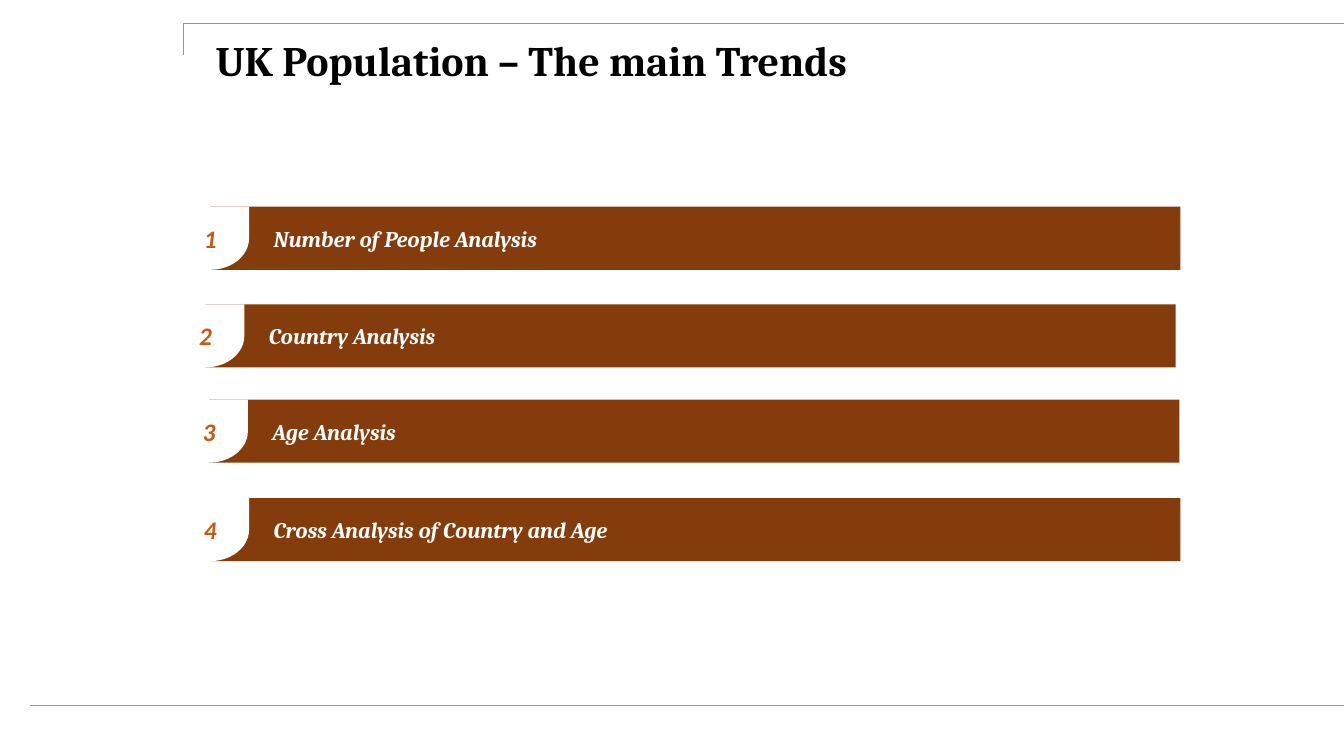
from dataclasses import dataclass

import pptx
import pptx.dml.color
import pptx.enum.shapes
import pptx.enum.text
import pptx.oxml.ns
import pptx.util
from lxml import etree

Cm = pptx.util.Cm
Pt = pptx.util.Pt
RGB = pptx.dml.color.RGBColor
Align = pptx.enum.text.PP_ALIGN
Shape = pptx.enum.shapes.MSO_SHAPE


@dataclass(frozen=True)
class Theme:
    heading_font: str = "Cambria"
    number_font: str = "Calibri"
    ink: RGB = RGB(0, 0, 0)
    paper: RGB = RGB(0xFF, 0xFF, 0xFF)
    bar: RGB = RGB(0x84, 0x3C, 0x0C)
    number: RGB = RGB(0xC5, 0x5A, 0x11)
    rule: RGB = RGB(0xED, 0x7D, 0x31)
    title_size: Pt = Pt(30)
    topic_size: Pt = Pt(16)
    number_size: Pt = Pt(18)
    rule_width: Pt = Pt(0.5)


THEME = Theme()
SLIDE_WIDTH, SLIDE_HEIGHT = Cm(33.88), Cm(19.05)
BAR_WIDTH, BAR_HEIGHT, TAB_WIDTH = Cm(24.46), Cm(1.59), Cm(1.96)

# Topic, left and top of its bar in cm
TOPICS = [
    ("Number of People Analysis", 5.3, 5.21),
    ("Country Analysis", 5.18, 7.67),
    ("Age Analysis", 5.27, 10.07),
    ("Cross Analysis of Country and Age", 5.3, 12.55),
]


def write(shape, text, font, size, color, align, italic=False):
    frame = shape.text_frame
    frame.word_wrap = True
    frame.vertical_anchor = pptx.enum.text.MSO_ANCHOR.MIDDLE
    paragraph = frame.paragraphs[0]
    paragraph.text = text
    paragraph.alignment = align
    paragraph.font.name = font
    paragraph.font.size = size
    paragraph.font.color.rgb = color
    paragraph.font.bold = True
    paragraph.font.italic = italic


def set_margins(shape, left, right):
    frame = shape.text_frame
    frame.margin_left, frame.margin_right = left, right
    frame.margin_top = frame.margin_bottom = 0


def add_block(group, kind, box, color):
    block = group.shapes.add_shape(kind, *box)
    block.shadow.inherit = False
    block.fill.solid()
    block.fill.fore_color.rgb = color
    block.line.fill.background()
    return block


def add_rule(slide, start, end):
    rule = slide.shapes.add_connector(
        pptx.enum.shapes.MSO_CONNECTOR.STRAIGHT, *start, *end)
    rule.line.color.rgb = THEME.rule
    rule.line.width = THEME.rule_width
    properties = rule._element.find(pptx.oxml.ns.qn("p:spPr"))
    etree.SubElement(properties, pptx.oxml.ns.qn("a:effectLst"))


def add_title(slide, text, left, top, width, height):
    title = slide.shapes.title
    title.left, title.top, title.width, title.height = left, top, width, height
    write(title, text, THEME.heading_font, THEME.title_size, THEME.ink, Align.LEFT)
    title.text_frame.auto_size = pptx.enum.text.MSO_AUTO_SIZE.NONE
    title.text_frame.paragraphs[0].line_spacing = 0.9


def add_topic(slide, number, topic, left, top, width, height):
    group = slide.shapes.add_group_shape()

    # Bar with the topic
    bar = add_block(group, Shape.RECTANGLE, (left, top, width, height), THEME.bar)
    set_margins(bar, Cm(1.6), Cm(0.4))
    write(bar, topic, THEME.heading_font, THEME.topic_size, THEME.paper,
          Align.LEFT, italic=True)

    # Number tab, centred on the bar's left edge
    tab_box = (left - TAB_WIDTH // 2, top, TAB_WIDTH, height)
    tab = add_block(group, Shape.TEAR, tab_box, THEME.paper)
    set_margins(tab, 0, 0)
    write(tab, str(number), THEME.number_font, THEME.number_size, THEME.number,
          Align.CENTER, italic=True)


def add_frame(slide, left, top, right, bottom):
    corner = (left, top)
    add_rule(slide, corner, (right, top))
    add_rule(slide, (Cm(0.76), bottom), (right, bottom))
    add_rule(slide, corner, (left, top + Cm(0.81)))


def build_trends_slide(deck):
    slide = deck.slides.add_slide(deck.slide_layouts.get_by_name("Title Only"))
    add_title(slide, "UK Population – The main Trends",
              Cm(5.18), Cm(0.79), Cm(22.2), Cm(1.6))
    for number, (topic, left, top) in enumerate(TOPICS, start=1):
        add_topic(slide, number, topic, Cm(left), Cm(top), BAR_WIDTH, BAR_HEIGHT)
    add_frame(slide, Cm(4.62), Cm(0.58), SLIDE_WIDTH, Cm(17.78))


def main():
    deck = pptx.Presentation()
    deck.slide_width, deck.slide_height = SLIDE_WIDTH, SLIDE_HEIGHT
    build_trends_slide(deck)
    deck.save("out.pptx")


if __name__ == "__main__":
    main()
